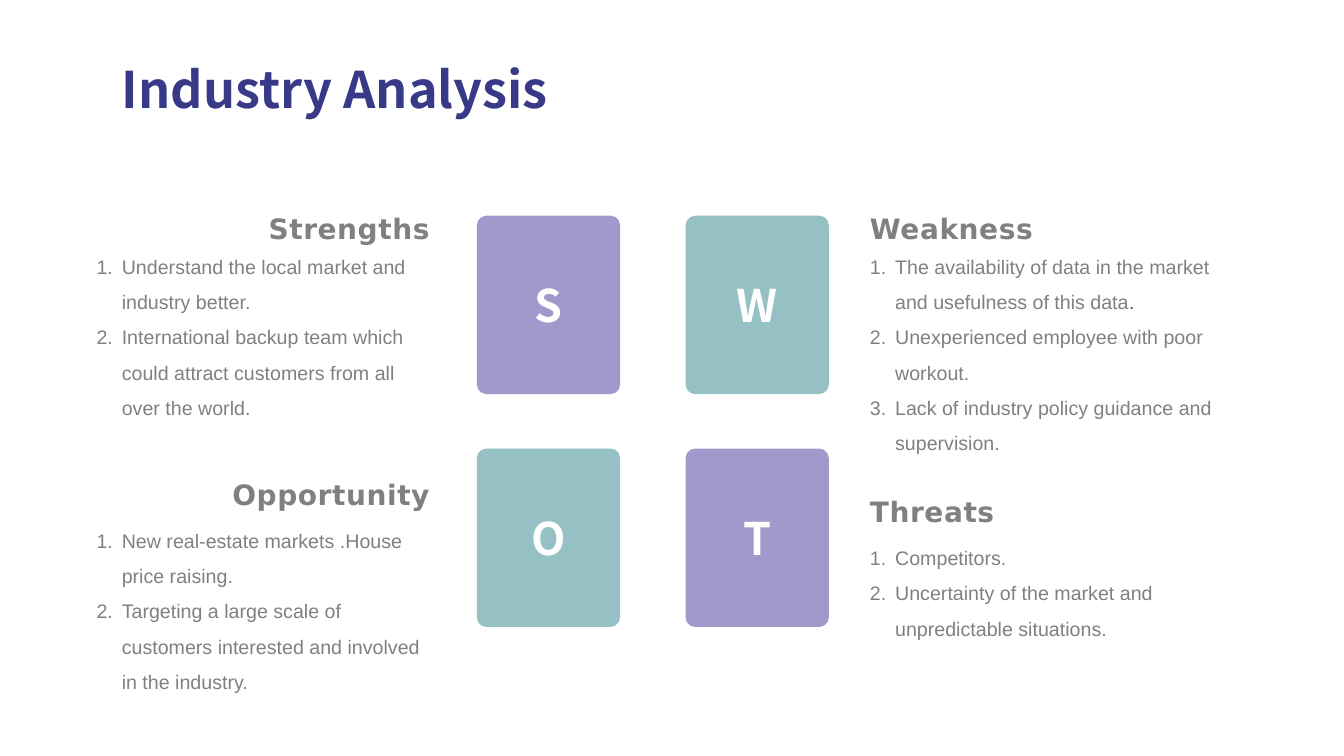
from lxml.etree import SubElement
from pptx import Presentation
from pptx.dml.color import RGBColor
from pptx.enum.shapes import MSO_SHAPE
from pptx.enum.text import MSO_ANCHOR, PP_ALIGN
from pptx.oxml.ns import qn
from pptx.util import Inches, Pt

NAVY = RGBColor(0x38, 0x39, 0x87)
PURPLE = RGBColor(0xA0, 0x99, 0xCB)
TEAL = RGBColor(0x95, 0xC1, 0xC4)
GRAY = RGBColor(0x80, 0x80, 0x80)
DARK_GRAY = RGBColor(0x59, 0x59, 0x59)
WHITE = RGBColor(0xFF, 0xFF, 0xFF)


def write(holder, *paragraphs, font, size, color, bold=False, align=PP_ALIGN.LEFT,
          anchor=MSO_ANCHOR.TOP, tracking=0, numbered=False):
    """Fill a shape; a paragraph is a string or a list of (text, color) runs."""
    frame = holder.text_frame
    frame.word_wrap = True
    frame.vertical_anchor = anchor
    for index, content in enumerate(paragraphs):
        paragraph = frame.paragraphs[0] if index == 0 else frame.add_paragraph()
        paragraph.alignment = align
        if numbered:
            paragraph.line_spacing = 1.5
            properties = paragraph._p.get_or_add_pPr()
            properties.set("marL", str(Inches(0.25)))
            properties.set("indent", str(Inches(-0.25)))
            SubElement(properties, qn("a:buFont"), typeface="+mj-lt")
            SubElement(properties, qn("a:buAutoNum"), type="arabicPeriod")
        runs = [(content, color)] if isinstance(content, str) else content
        for text, run_color in runs:
            run = paragraph.add_run()
            run.text = text
            run.font.name = font
            run.font.size = Pt(size)
            run.font.bold = bold
            run.font.color.rgb = run_color
            properties = run._r.get_or_add_rPr()
            SubElement(properties, qn("a:ea"), typeface=font)
            if tracking:
                properties.set("spc", str(tracking))


deck = Presentation()
deck.slide_width = Inches(13.33)
deck.slide_height = Inches(7.5)
slide = deck.slides.add_slide(deck.slide_layouts[6])

# Title
title = slide.shapes.add_textbox(Inches(1.11), Inches(0.52), Inches(8.81), Inches(0.71))
write(title, "Industry Analysis", font="Noto Sans CJK SC", size=36, color=NAVY,
      bold=True, anchor=MSO_ANCHOR.MIDDLE)

# Letter cards in a two by two grid, colours alternating
for index, letter in enumerate("SWOT"):
    row, column = divmod(index, 2)
    card = slide.shapes.add_shape(
        MSO_SHAPE.ROUNDED_RECTANGLE, Inches(4.73 + 2.07 * column),
        Inches(2.14 + 2.31 * row), Inches(1.42), Inches(1.77))
    card.adjustments[0] = 0.066
    card.shadow.inherit = False
    card.fill.solid()
    card.fill.fore_color.rgb = PURPLE if row == column else TEAL
    card.line.fill.background()
    write(card, letter, font="Noto Sans CJK SC", size=32, color=WHITE, bold=True,
          align=PP_ALIGN.CENTER, anchor=MSO_ANCHOR.MIDDLE)

# Headings and numbered points: (heading, column, heading top, points top, height, points)
quadrants = [
    ("Strengths", 0, 2.05, 2.36, 1.82, [
        "Understand the local market and industry better.",
        "International backup team which could attract customers from all over the world."]),
    ("Weakness", 1, 2.05, 2.36, 2.18, [
        [("The availability of data in the market and usefulness of this data", GRAY),
         (".", DARK_GRAY)],
        "Unexperienced employee with poor workout.",
        "Lack of industry policy guidance and supervision."]),
    ("Opportunity", 0, 4.69, 5.08, 1.82, [
        "New real-estate markets .House price raising.",
        "Targeting a large scale of customers interested and involved in the industry."]),
    ("Threats", 1, 4.86, 5.25, 1.12, [
        "Competitors.",
        "Uncertainty of the market and unpredictable situations."]),
]
columns = [(0.86, 3.5, PP_ALIGN.RIGHT), (8.53, 3.76, PP_ALIGN.LEFT)]
heading_width = 2.17

for heading, column, heading_top, points_top, points_height, points in quadrants:
    left, width, align = columns[column]
    heading_left = left + width - heading_width if align == PP_ALIGN.RIGHT else left
    heading_box = slide.shapes.add_textbox(
        Inches(heading_left), Inches(heading_top), Inches(heading_width), Inches(0.44))
    write(heading_box, heading, font="DejaVu Sans", size=20, color=GRAY, bold=True,
          align=align, tracking=40)
    points_box = slide.shapes.add_textbox(
        Inches(left), Inches(points_top), Inches(width), Inches(points_height))
    write(points_box, *points, font="Arial", size=14, color=GRAY, numbered=True)

deck.save("out.pptx")
